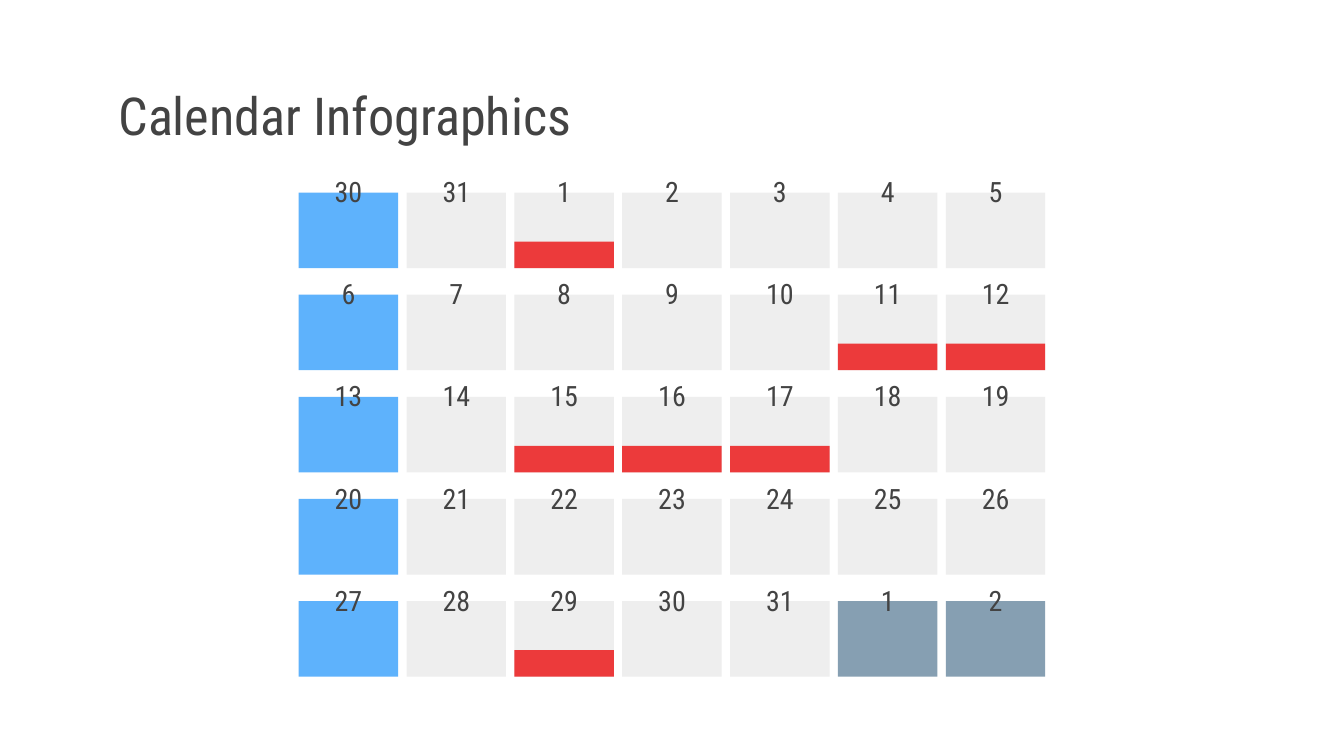
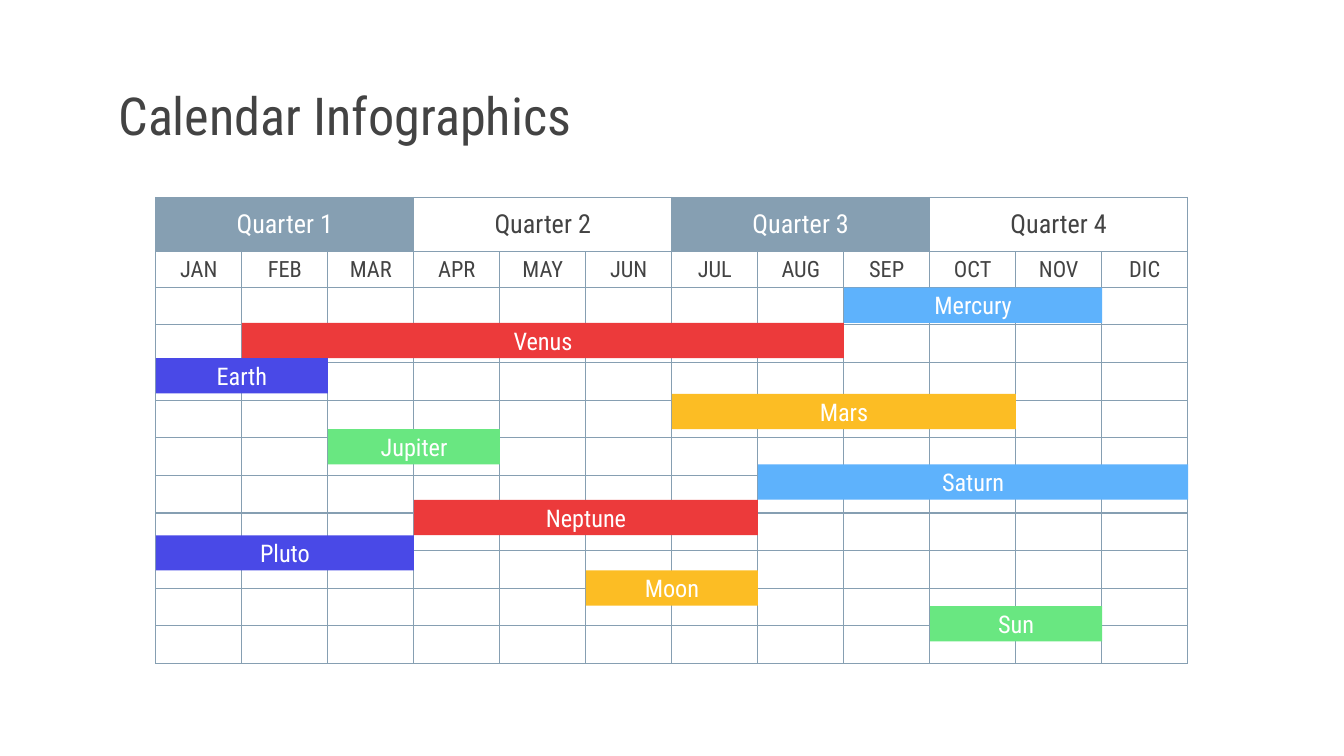
from itertools import chain, product

from lxml.etree import SubElement
from pptx import Presentation
from pptx.dml.color import RGBColor
from pptx.enum.shapes import MSO_SHAPE as Preset
from pptx.enum.text import MSO_ANCHOR as Anchor, PP_ALIGN as Align
from pptx.oxml.ns import qn
from pptx.util import Pt

PX = 2286
FONT = "Roboto Condensed"
BLANK = 6
COLORS = {
    "ink": "434343",
    "white": "FFFFFF",
    "slate": "869FB2",
    "gray": "EEEEEE",
    "sky": "5EB2FC",
    "red": "EC3A3B",
    "indigo": "4949E7",
    "amber": "FCBD24",
    "green": "69E781",
}
SIDES = ("left", "right", "top", "bottom")
TITLE = "Calendar Infographics"


def color(name):
    return RGBColor.from_string(COLORS[name])


def style(target, values):
    for key, value in values.items():
        setattr(target, key, value)


class Deck:
    def __init__(self, width, height):
        self.prs = Presentation()
        style(self.prs, {"slide_width": width * PX, "slide_height": height * PX})
        self.slide = None

    def new_slide(self, title):
        self.slide = self.prs.slides.add_slide(self.prs.slide_layouts[BLANK])
        self.text(title, (313, 236, 3380, 212), 28, align=Align.LEFT, anchor=Anchor.MIDDLE)

    def add_words(self, frame, words, size, ink="ink", align=Align.CENTER, after=0):
        paragraph = frame.paragraphs[0]
        style(paragraph, {"alignment": align, "space_after": Pt(after)})
        run = paragraph.add_run()
        run.text = words
        style(run.font, {"name": FONT, "size": Pt(size)})
        run.font.color.rgb = color(ink)

    def set_frame(self, frame, anchor):
        style(frame, {"word_wrap": True, "vertical_anchor": anchor})
        style(frame, {f"margin_{side}": 40 * PX for side in SIDES})

    def text(self, words, box, size, anchor=Anchor.TOP, **format_values):
        frame = self.slide.shapes.add_textbox(*(n * PX for n in box)).text_frame
        self.set_frame(frame, anchor)
        self.add_words(frame, words, size, **format_values)

    def rect(self, box, fill, words=None, size=13):
        shape = self.slide.shapes.add_shape(Preset.RECTANGLE, *(n * PX for n in box))
        shape.shadow.inherit = False
        shape.fill.solid()
        shape.fill.fore_color.rgb = color(fill)
        shape.line.fill.background()
        if words:
            self.set_frame(shape.text_frame, Anchor.MIDDLE)
            self.add_words(shape.text_frame, words, size, "white")

    def table(self, left, top, column_width, columns, heights):
        size = (column_width * columns, sum(heights))
        table = self.slide.shapes.add_table(
            len(heights), columns, *(n * PX for n in (left, top, *size))
        ).table
        style(table, {"first_row": False, "horz_banding": False})
        for column in table.columns:
            column.width = column_width * PX
        for row, height in zip(table.rows, heights):
            row.height = height * PX
        for cell in table.iter_cells():
            self.style_cell(cell)
        return table

    def style_cell(self, cell):
        style(cell, {
            "margin_left": 40 * PX,
            "margin_right": 40 * PX,
            "margin_top": 0,
            "margin_bottom": 0,
            "vertical_anchor": Anchor.MIDDLE,
        })
        properties = cell._tc.get_or_add_tcPr()
        for edge in ("a:lnL", "a:lnR", "a:lnT", "a:lnB"):
            line = SubElement(properties, qn(edge), w=str(Pt(0.75)))
            fill = SubElement(line, qn("a:solidFill"))
            SubElement(fill, qn("a:srgbClr"), val=COLORS["slate"])
        cell.fill.background()

    def fill_cell(self, cell, fill):
        cell.fill.solid()
        cell.fill.fore_color.rgb = color(fill)


def month_slide(deck):
    deck.new_slide(TITLE)
    days = list(chain((30, 31), range(1, 32), (1, 2)))
    marked = {2, 12, 13, 16, 17, 18, 30}
    next_month = {33, 34}
    width, height, mark_height = 296, 225, 79
    for index, (week, weekday) in enumerate(product(range(5), range(7))):
        left, top = 889 + 321 * weekday, 573 + 304 * week
        fill = "slate" if index in next_month else "gray" if weekday else "sky"
        deck.rect((left, top, width, height), fill)
        if index in marked:
            deck.rect((left, top + height - mark_height, width, mark_height), "red")
        deck.text(str(days[index]), (left + 18, top - 93, 260, height), 15, after=16)


def year_slide(deck):
    deck.new_slide(TITLE)
    left, top, month_width = 464, 588, 256
    months = "JAN FEB MAR APR MAY JUN JUL AUG SEP OCT NOV DIC".split()
    schedule = deck.table(left, top, month_width, len(months), [161, 106] + [112] * 10)

    for quarter in range(4):
        header = schedule.cell(0, 3 * quarter)
        header.merge(schedule.cell(0, 3 * quarter + 2))
        shaded = quarter % 2 == 0
        if shaded:
            deck.fill_cell(header, "slate")
        ink = "white" if shaded else "ink"
        deck.add_words(header.text_frame, f"Quarter {quarter + 1}", 14, ink)
    for column, month in enumerate(months):
        deck.add_words(schedule.cell(1, column).text_frame, month, 12)
    for row, column in product(range(2, 12), range(len(months))):
        paragraph = schedule.cell(row, column).text_frame.paragraphs[0]
        SubElement(paragraph._p, qn("a:endParaRPr"), sz="1200")

    projects = (
        ("Mercury", 8, 3, "sky"),
        ("Venus", 1, 7, "red"),
        ("Earth", 0, 2, "indigo"),
        ("Mars", 6, 4, "amber"),
        ("Jupiter", 2, 2, "green"),
        ("Saturn", 7, 5, "sky"),
        ("Neptune", 3, 4, "red"),
        ("Pluto", 0, 3, "indigo"),
        ("Moon", 5, 2, "amber"),
        ("Sun", 9, 2, "green"),
    )
    for index, (name, start, length, fill) in enumerate(projects):
        bar = (left + start * month_width, 856 + 316 * index // 3, length * month_width, 105)
        deck.rect(bar, fill, name)


def main():
    deck = Deck(4000, 2250)
    month_slide(deck)
    year_slide(deck)
    deck.prs.save("out.pptx")


if __name__ == "__main__":
    main()
